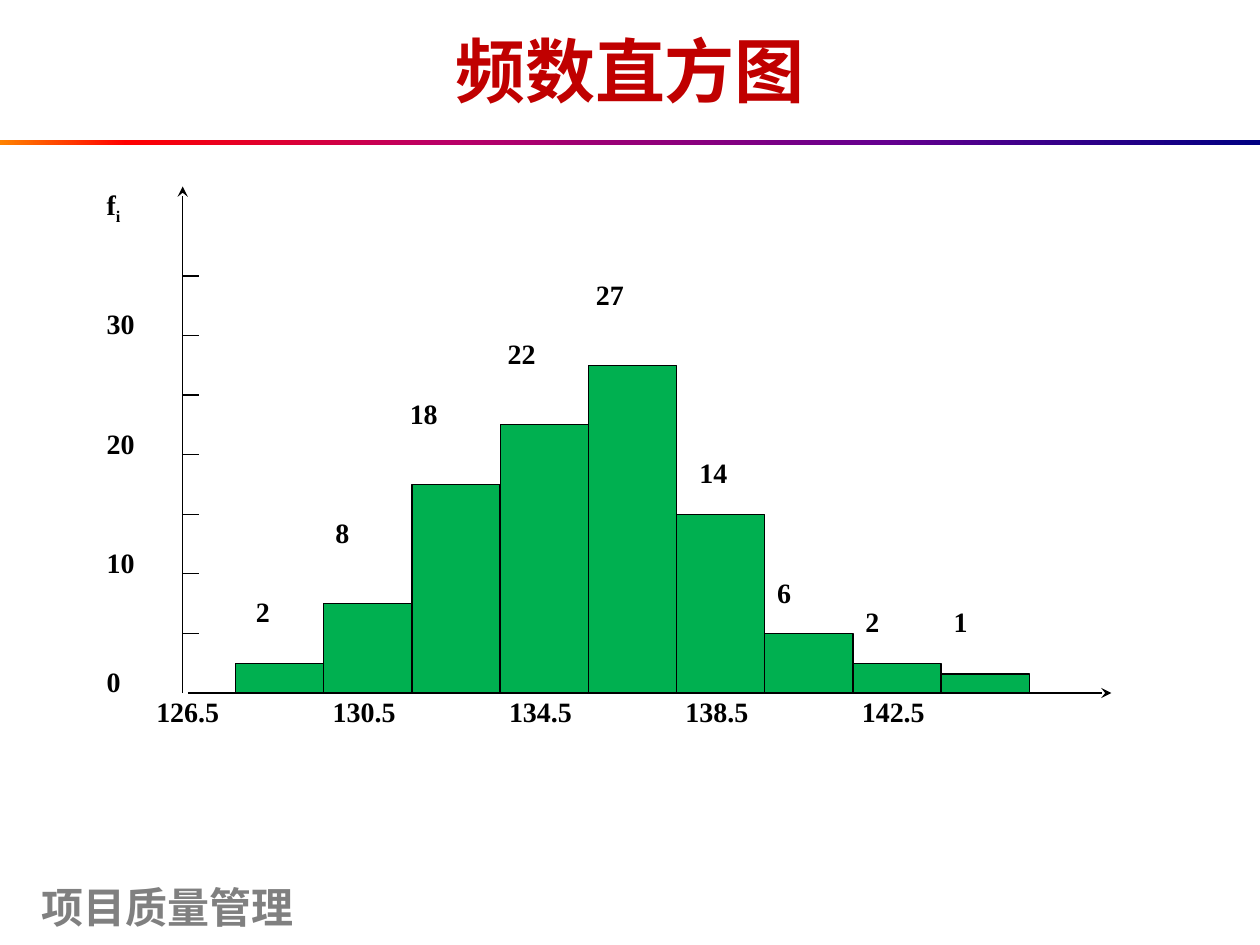
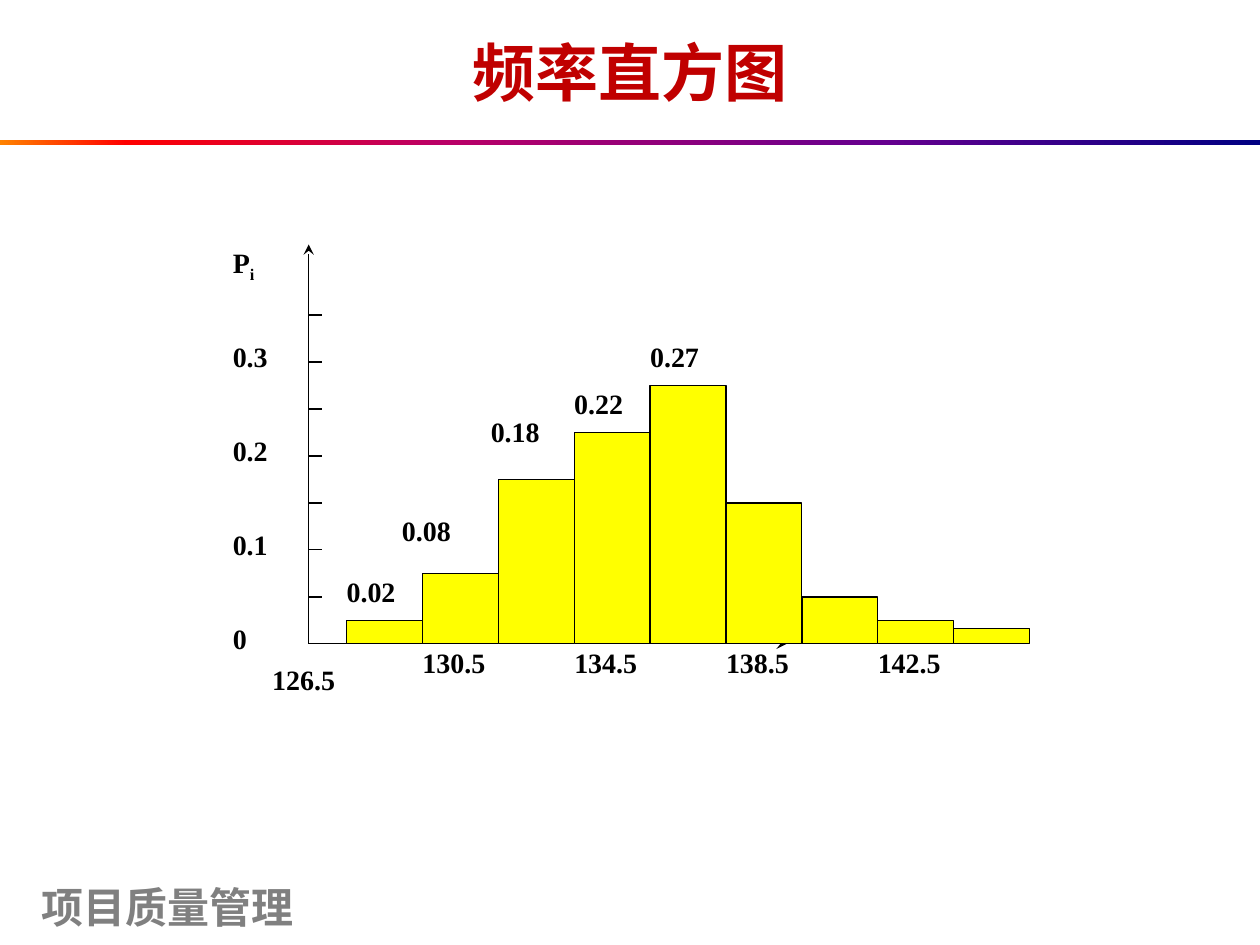
from lxml import etree
from pptx import Presentation, util as u
from pptx.dml.color import RGBColor
from pptx.enum import shapes, text
from pptx.oxml.ns import qn

WIDE, HIGH = 10, 7.5
BLACK, WHITE, RED, GREY = "000000", "FFFFFF", "C00000", "808080"
BAND = [(0, "FF8200"), (10, "FF0000"), (35, "BA0066"), (70, "66008F"), (100, "000082")]
STEPS = [0.5, 1.5, 3.5, 4.5, 5.5, 3, 1, 0.5, 0.32]  # bar heights in rows


def rgb(code):
    return RGBColor.from_string(code)


class Deck:
    """Style, current slide and the grid whose zero is the foot of the y axis."""

    def __init__(self):
        self.prs = Presentation()
        self.prs.slide_width, self.prs.slide_height = u.Inches(WIDE), u.Inches(HIGH)

    def page(self, title, size, box):
        self.slide = self.prs.slides.add_slide(self.prs.slide_layouts[6])
        self.words("项目质量管理", (0.23, 6.95, 2.5, 0.5), 24, GREY)
        self.band()
        self.words(title, box, size, RED, text.PP_ALIGN.CENTER)

    def grid(self, left, base, col, row):
        self.left, self.base, self.col, self.row = left, base, col, row

    def spot(self, x, y):
        """Columns right of the axis and rows above the base, as lengths."""
        return u.Inches(self.left + x * self.col), u.Inches(self.base - y * self.row)

    def font(self, para, name, size, color):
        font = para.font
        font.name, font.size, font.bold = name, u.Pt(size), True
        font.color.rgb = rgb(color)

    def words(self, line, box, size, color, align=text.PP_ALIGN.LEFT):
        frame = self.slide.shapes.add_textbox(*map(u.Inches, box)).text_frame
        frame.word_wrap = True
        frame.vertical_anchor = text.MSO_ANCHOR.MIDDLE
        para = frame.paragraphs[0]
        para.text, para.alignment = line, align
        self.font(para, "Arial", size, color)

    def rect(self, x, y, wide, high):
        shape = self.slide.shapes.add_shape(shapes.MSO_SHAPE.RECTANGLE, x, y, wide, high)
        shape.shadow.inherit = False
        return shape

    def band(self):
        shape = self.rect(0, u.Inches(1.11), u.Inches(WIDE), u.Inches(0.04))
        shape.line.fill.background()
        shape.fill.gradient()
        shape.fill.gradient_angle = 0
        stops = next(shape.element.iter(qn("a:gsLst")))
        for old in list(stops):
            stops.remove(old)
        for share, color in BAND:
            stop = etree.SubElement(stops, qn("a:gs"), pos=str(share * 1000))
            etree.SubElement(stop, qn("a:srgbClr"), val=color)

    def label(self, line, x, y, wide=1, pad=0, sub=""):
        """White label whose top left corner is at (x, y), one row high."""
        shape = self.rect(*self.spot(x, y), u.Inches(wide * self.col), u.Inches(self.row))
        shape.fill.solid()
        shape.fill.fore_color.rgb = rgb(WHITE)
        shape.line.fill.background()
        frame = shape.text_frame
        frame.word_wrap = True
        frame.vertical_anchor = text.MSO_ANCHOR.TOP
        frame.margin_left, frame.margin_right = u.Inches(pad), 0
        frame.margin_top = frame.margin_bottom = u.Inches(0.01)
        para = frame.paragraphs[0]
        para.alignment = text.PP_ALIGN.JUSTIFY
        self.font(para, "Times New Roman", 16, BLACK)
        para.add_run().text = line
        if sub:
            run = para.add_run()
            run.text = sub
            run.font.size = u.Pt(16)
            run.font._element.set("baseline", "-25000")

    def bar(self, x, high, color):
        shape = self.rect(*self.spot(x, high), u.Inches(self.col), u.Inches(high * self.row))
        shape.fill.solid()
        shape.fill.fore_color.rgb = rgb(color)
        shape.line.color.rgb = rgb(BLACK)
        shape.line.width = u.Pt(0.75)

    def line(self, start, end, arrow=False):
        link = self.slide.shapes.add_connector(
            shapes.MSO_CONNECTOR.STRAIGHT, *self.spot(*start), *self.spot(*end))
        link.line.color.rgb = rgb(BLACK)
        link.line.width = u.Pt(0.75)
        if arrow:
            etree.SubElement(link.line._get_or_add_ln(), qn("a:tailEnd"), type="stealth")
        etree.SubElement(link.element.spPr, qn("a:effectLst"))

    def plot(self, color, first, start, end, scale, marks, tags):
        # Scale on the y axis, every second row
        name, left, pad, ticks = scale
        for step, tick in enumerate(ticks):
            self.label(tick, left, 0.5 + 2 * step, pad=pad)
        self.label(name, left, 8.5, pad=pad, sub="i")
        # Class limits under the x axis, and values over the bars
        for mark in marks:
            self.label(*mark)
        for line, x, y, pad in tags:
            self.label(line, first + x, y, pad=pad)
        # Axes and ticks
        self.line((start, 0), (end, 0), True)
        self.line((0, 0), (0, 8.5), True)
        for tick in range(1, 8):
            self.line((0, tick), (0.18, tick))
        # Bars
        for place, high in enumerate(STEPS):
            self.bar(first + place, high, color)


def main():
    deck = Deck()
    limits = ["126.5", "130.5", "134.5", "138.5", "142.5"]

    # Counts
    deck.page("频数直方图", 40, (3.29, 0.17, 3.42, 0.77))
    deck.grid(1.45, 5.5, 0.7, 0.47)
    deck.row = 4.02 / 8.5
    marks = [(limit, 2 * k - 0.44, 0, 2, 0.1) for k, limit in enumerate(limits)]
    tags = [("2", 0.09, 1.67, 0.1), ("8", 0.99, 3, 0.1), ("18", 1.89, 5, 0.06),
            ("22", 3, 6, 0.06), ("27", 4, 7, 0.06), ("14", 5.26, 4, 0),
            ("6", 6, 2, 0.1), ("2", 7, 1.5, 0.1), ("1", 8, 1.5, 0.1)]
    deck.plot("00B050", 0.6, 0.06, 10.53,
              ("f", -0.89, 0.02, ["0", "10", "20", "30"]), marks, tags)

    # Shares
    deck.page("频率直方图", 36, (0.51, 0.21, 8.98, 0.71))
    deck.grid(2.45, 5.11, 0.6, 0.37)
    deck.col, deck.row = 5.42 / 9, 3.17 / 8.5
    marks = [(limit, 2 * k - 0.5, 0, 2) for k, limit in enumerate(limits)]
    marks[0] = (limits[0], -0.48, -0.38, 1.2)
    tags = [("0.02", 0, 1.5, 0), ("0.08", 0.73, 2.81, 0), ("0.18", 1.9, 4.9, 0),
            ("0.22", 3, 5.5, 0), ("0.27", 4, 6.5, 0)]
    deck.plot("FFFF00", 0.5, 0, 6.3,
              ("P", -1, 0, ["0", "0.1", "0.2", "0.3"]), marks, tags)

    deck.prs.save("out.pptx")


if __name__ == "__main__":
    main()
